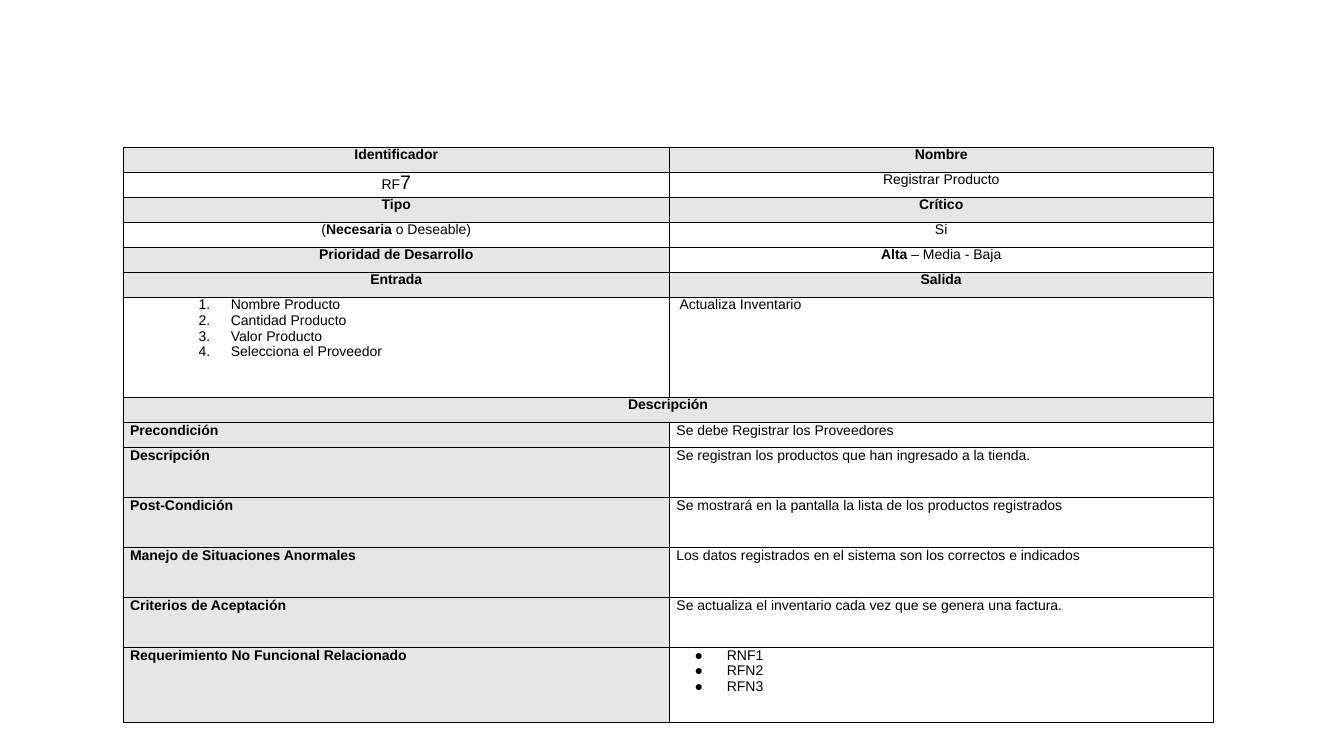
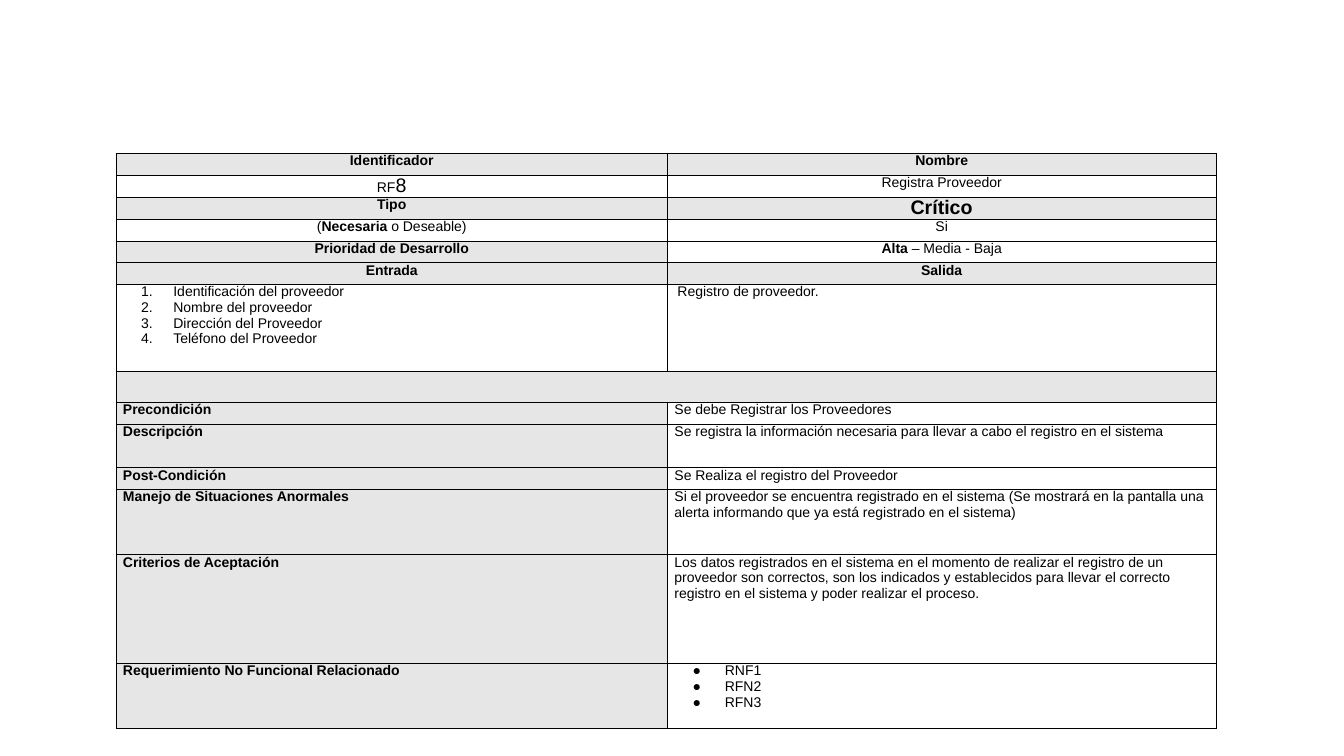
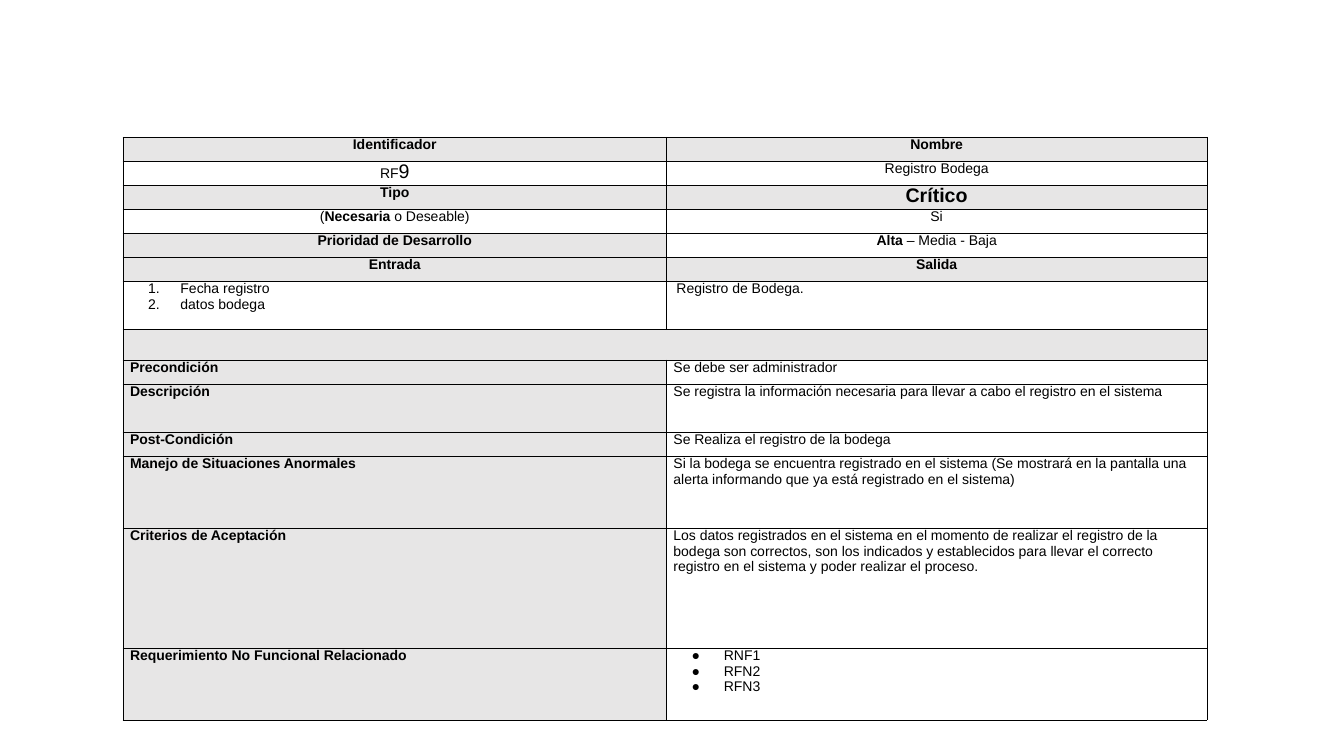
from dataclasses import dataclass

from lxml import etree
from pptx import Presentation
from pptx import util as u
from pptx.dml.color import RGBColor
from pptx.enum import text
from pptx.oxml.ns import qn


@dataclass(frozen=True)
class Theme:
    font: str = "Arial"
    ink: str = "000000"
    header: str = "E7E6E6"
    body: int = 10
    large: int = 14
    border: float = 0.5
    side_margin: float = 0.07
    hanging: float = 0.32
    list_indent: float = 0.5
    output_indent: float = 0.03


THEME = Theme()
NUMBERED = ("buAutoNum", {"type": "arabicPeriod"})
BULLETED = ("buChar", {"char": "●"})
RELATED = ["RNF1", "RFN2", "RFN3"]
DETAIL_LABELS = [
    "Precondición",
    "Descripción",
    "Post-Condición",
    "Manejo de Situaciones Anormales",
    "Criterios de Aceptación",
    "Requerimiento No Funcional Relacionado",
]

REQUIREMENTS = [
    {
        "number": "7",
        "name": "Registrar Producto",
        "critical_size": THEME.body,
        "inputs": ["Nombre Producto", "Cantidad Producto", "Valor Producto", "Selecciona el Proveedor"],
        "input_indent": 1,
        "output": "Actualiza Inventario",
        "band": "Descripción",
        "details": [
            "Se debe Registrar los Proveedores",
            "Se registran los productos que han ingresado a la tienda.",
            "Se mostrará en la pantalla la lista de los productos registrados",
            "Los datos registrados en el sistema son los correctos e indicados",
            "Se actualiza el inventario cada vez que se genera una factura.",
        ],
        "origin": (1.22, 1.46),
        "columns": (5.42, 5.39),
        "height": 5.46,
        "band_height": 0.25,
        "input_lines": 4,
        "detail_lines": [1, 2, 2, 2, 2, 3],
    },
    {
        "number": "8",
        "name": "Registra Proveedor",
        "critical_size": THEME.large,
        "inputs": [
            "Identificación del proveedor",
            "Nombre del proveedor",
            "Dirección del Proveedor",
            "Teléfono del Proveedor",
        ],
        "input_indent": THEME.list_indent,
        "output": "Registro de proveedor.",
        "band": "",
        "details": [
            "Se debe Registrar los Proveedores",
            "Se registra la información necesaria para llevar a cabo el registro en el sistema",
            "Se Realiza el registro del Proveedor",
            "Si el proveedor se encuentra registrado en el sistema (Se mostrará en la pantalla una "
            "alerta informando que ya está registrado en el sistema)",
            "Los datos registrados en el sistema en el momento de realizar el registro de un "
            "proveedor son correctos, son los indicados y establecidos para llevar el correcto "
            "registro en el sistema y poder realizar el proceso.",
        ],
        "origin": (1.15, 1.52),
        "columns": (5.47, 5.44),
        "height": 5.4,
        "band_height": 0.29,
        "input_lines": 4,
        "detail_lines": [1, 2, 1, 3, 5, 3],
    },
    {
        "number": "9",
        "name": "Registro Bodega",
        "critical_size": THEME.large,
        "inputs": ["Fecha registro", "datos bodega"],
        "input_indent": THEME.list_indent,
        "output": "Registro de Bodega.",
        "band": "",
        "details": [
            "Se debe ser administrador",
            "Se registra la información necesaria para llevar a cabo el registro en el sistema",
            "Se Realiza el registro de la bodega",
            "Si la bodega se encuentra registrado en el sistema (Se mostrará en la pantalla una "
            "alerta informando que ya está registrado en el sistema)",
            "Los datos registrados en el sistema en el momento de realizar el registro de la "
            "bodega son correctos, son los indicados y establecidos para llevar el correcto "
            "registro en el sistema y poder realizar el proceso.",
        ],
        "origin": (1.22, 1.36),
        "columns": (5.39, 5.36),
        "height": 5.48,
        "band_height": 0.28,
        "input_lines": 2,
        "detail_lines": [1, 2, 1, 3, 5, 3],
    },
]


def add_child(parent, tag, **attributes):
    return etree.SubElement(parent, qn(f"a:{tag}"), attributes)


def style_cell(cell, shaded):
    cell.margin_left = cell.margin_right = u.Inches(THEME.side_margin)
    cell.margin_top = cell.margin_bottom = 0
    properties = cell._tc.get_or_add_tcPr()
    for side in ("lnL", "lnR", "lnT", "lnB"):
        line = add_child(properties, side, w=str(u.Pt(THEME.border)))
        add_child(add_child(line, "solidFill"), "srgbClr", val=THEME.ink)
    if shaded:
        cell.fill.solid()
        cell.fill.fore_color.rgb = RGBColor.from_string(THEME.header)
    else:
        cell.fill.background()


def style_font(para, bold=False, size=THEME.body):
    para.font.name = THEME.font
    para.font.size = u.Pt(size)
    para.font.bold = bold
    para.font.color.rgb = RGBColor.from_string(THEME.ink)


def write_runs(cell, runs, centred=False, bold=False, size=THEME.body, indent=0):
    para = cell.text_frame.paragraphs[0]
    if centred:
        para.alignment = text.PP_ALIGN.CENTER
    if indent:
        para._p.get_or_add_pPr().set("marL", str(u.Inches(indent)))
    style_font(para, bold, size)
    for words, changes in runs:
        span = para.add_run()
        span.text = words
        if "bold" in changes:
            span.font.bold = changes["bold"]
        if "size" in changes:
            span.font.size = u.Pt(changes["size"])


def write(cell, words, **options):
    write_runs(cell, [(words, {})], **options)


def write_list(cell, items, marker, indent):
    tag, attributes = marker
    frame = cell.text_frame
    for index, item in enumerate(items):
        para = frame.add_paragraph() if index else frame.paragraphs[0]
        properties = para._p.get_or_add_pPr()
        properties.set("marL", str(u.Inches(indent)))
        properties.set("indent", str(-u.Inches(THEME.hanging)))
        add_child(add_child(properties, "buClr"), "srgbClr", val=THEME.ink)
        add_child(properties, "buFont", typeface=THEME.font)
        add_child(properties, tag, **attributes)
        style_font(para)
        para.add_run().text = item


def add_requirement(deck, item):
    page = deck.slides.add_slide(deck.slide_layouts[6])
    top_lines = [1] * 6 + [item["input_lines"]]
    line_height = item["height"] / sum(top_lines + item["detail_lines"])
    heights = [lines * line_height for lines in top_lines]
    heights.append(item["band_height"])
    heights += [lines * line_height for lines in item["detail_lines"]]

    bounds = (*item["origin"], sum(item["columns"]), sum(heights))
    table = page.shapes.add_table(len(heights), 2, *map(u.Inches, bounds)).table
    table.first_row = table.horz_banding = False
    for column, width in zip(table.columns, item["columns"]):
        column.width = u.Inches(width)
    for row, height in zip(table.rows, heights):
        row.height = u.Inches(height)

    band_row = len(top_lines)
    shaded_rows = (0, 2, 5, band_row)
    for row in range(len(heights)):
        for column in range(2):
            label = column == 0 and (row == 4 or row > band_row)
            style_cell(table.cell(row, column), row in shaded_rows or label)

    heading = {"centred": True, "bold": True}
    for row, labels in {0: ("Identificador", "Nombre"), 5: ("Entrada", "Salida")}.items():
        for column, label in enumerate(labels):
            write(table.cell(row, column), label, **heading)
    write(table.cell(2, 0), "Tipo", **heading)
    write(table.cell(2, 1), "Crítico", size=item["critical_size"], **heading)
    write(table.cell(4, 0), "Prioridad de Desarrollo", **heading)

    strong = {"bold": True}
    write_runs(table.cell(1, 0), [("RF", {}), (item["number"], {"size": THEME.large})], centred=True)
    write(table.cell(1, 1), item["name"], centred=True)
    write_runs(table.cell(3, 0), [("(", {}), ("Necesaria ", strong), ("o Deseable)", {})], centred=True)
    write(table.cell(3, 1), "Si", centred=True)
    write_runs(table.cell(4, 1), [("Alta", strong), (" – Media - Baja", {})], centred=True)
    write_list(table.cell(6, 0), item["inputs"], NUMBERED, item["input_indent"])
    write(table.cell(6, 1), item["output"], indent=THEME.output_indent)

    band = table.cell(band_row, 0)
    band.merge(table.cell(band_row, 1))
    if item["band"]:
        write(band, item["band"], **heading)

    first_detail = band_row + 1
    for row, label in enumerate(DETAIL_LABELS, first_detail):
        write(table.cell(row, 0), label, bold=True)
    for row, detail in enumerate(item["details"], first_detail):
        write(table.cell(row, 1), detail)
    write_list(table.cell(len(heights) - 1, 1), RELATED, BULLETED, THEME.list_indent)


def main():
    deck = Presentation()
    deck.slide_width = u.Inches(13.33)
    deck.slide_height = u.Inches(7.5)
    for item in REQUIREMENTS:
        add_requirement(deck, item)
    deck.save("out.pptx")


if __name__ == "__main__":
    main()
